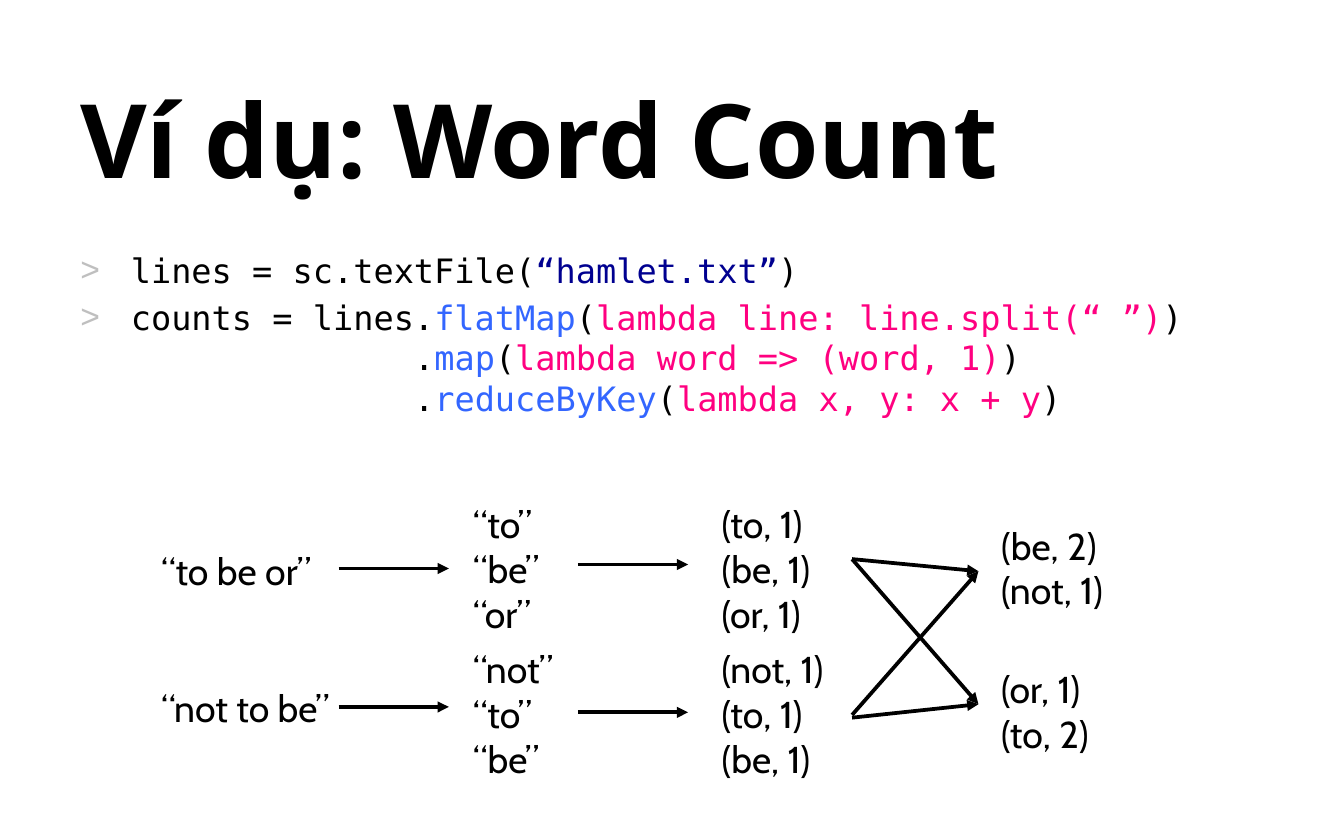
from dataclasses import dataclass

from lxml import etree
from pptx import Presentation
from pptx.dml.color import RGBColor
from pptx.enum.shapes import MSO_CONNECTOR
from pptx.enum.text import MSO_ANCHOR, MSO_AUTO_SIZE
from pptx.oxml.ns import qn
from pptx.util import Inches, Pt

STRAIGHT = MSO_CONNECTOR.STRAIGHT
MIDDLE = MSO_ANCHOR.MIDDLE
GROW = MSO_AUTO_SIZE.SHAPE_TO_FIT_TEXT


@dataclass(frozen=True)
class Theme:
    ink: str = "000000"
    string: str = "000090"
    method: str = "3366FF"
    function: str = "FF0080"
    prompt: str = "BFBFBF"
    title_font: str = "Open Sans"
    code_font: str = "DejaVu Sans Mono"
    data_font: str = "Cabin"
    title_size: int = 55
    code_size: int = 18
    data_size: int = 20
    arrow_width: int = 2


theme = Theme()
prs = Presentation()
prs.slide_width, prs.slide_height = Inches(10), Inches(6.25)
slide = prs.slides.add_slide(prs.slide_layouts[6])

# The slide is a grid of 100 columns by 100 rows.
COL = prs.slide_width / 100
ROW = prs.slide_height / 100


def add_box(left, top, width, height):
    """Add an empty text box placed in grid units and return its text frame."""
    box = slide.shapes.add_textbox(
        round(left * COL), round(top * ROW), round(width * COL), round(height * ROW))
    box.text_frame.word_wrap = True
    return box.text_frame


def add_run(paragraph, text, font, size, color=theme.ink, bold=False):
    run = paragraph.add_run()
    run.text = text
    run.font.name, run.font.size, run.font.bold = font, Pt(size), bold
    run.font.color.rgb = RGBColor.from_string(color)


# Title
heading = add_box(5, 8, 90, 16.64)
heading.vertical_anchor = MIDDLE
add_run(heading.paragraphs[0], "Ví dụ: Word Count",
        theme.title_font, theme.title_size, bold=True)

# Code: a prompt starts each statement, chained calls are indented below it
ink, method, function = theme.ink, theme.method, theme.function
PROMPT_INDENT, CHAIN_INDENT = 3.75, 24.83
code_lines = [
    (True, 0, [("lines = sc.textFile(", ink), ("“hamlet.txt”", theme.string), (")", ink)]),
    (True, 3.6, [("counts = lines.", ink), ("flatMap", method), ("(", ink),
                 ("lambda line: line.split(“ ”)", function), (")", ink)]),
    (False, 0, [(".", ink), ("map", method), ("(", ink),
                ("lambda word => (word, 1)", function), (")", ink)]),
    (False, 0, [(".", ink), ("reduceByKey", method), ("(", ink),
                ("lambda x, y: x + y", function), (")", ink)]),
]
code = add_box(5, 28.96, 90, 37.76)
for number, (has_prompt, space_before, tokens) in enumerate(code_lines):
    line = code.add_paragraph() if number else code.paragraphs[0]
    line.space_before = Pt(space_before)
    props = line._p.get_or_add_pPr()
    props.set("marL", str(round((PROMPT_INDENT if has_prompt else CHAIN_INDENT) * COL)))
    if has_prompt:
        props.set("indent", str(-round(PROMPT_INDENT * COL)))
        bullet_color = etree.SubElement(props, qn("a:buClr"))
        etree.SubElement(bullet_color, qn("a:srgbClr"), val=theme.prompt)
        etree.SubElement(props, qn("a:buFont"), typeface="Arial")
        etree.SubElement(props, qn("a:buChar"), char=">")
    else:
        props.set("indent", "0")
        etree.SubElement(props, qn("a:buNone"))
    for text, color in tokens:
        add_run(line, text, theme.code_font, theme.code_size, color)

# Data at each stage: left, top, width, records
FIRST_LINE, NEXT_LINE = 7.04, 5.36
stages = [
    (11, 64.48, 13.4, ["“to be or”"]),
    (11, 80.8, 14.7, ["“not to be”"]),
    (34.2, 58.88, 7.2, ["“to”", "“be”", "“or”"]),
    (34.2, 76.16, 8.2, ["“not”", "“to”", "“be”"]),
    (52.7, 58.88, 9.2, ["(to, 1)", "(be, 1)", "(or, 1)"]),
    (52.7, 76.16, 10.2, ["(not, 1)", "(to, 1)", "(be, 1)"]),
    (73.5, 61.44, 10.2, ["(be, 2)", "(not, 1)"]),
    (73.5, 78.56, 8.9, ["(or, 1)", "(to, 2)"]),
]
for left, top, width, records in stages:
    stage = add_box(left, top, width, FIRST_LINE + NEXT_LINE * (len(records) - 1))
    stage.word_wrap = False
    stage.auto_size = GROW
    for number, record in enumerate(records):
        if number:
            stage.paragraphs[0].add_line_break()
        add_run(stage.paragraphs[0], record, theme.data_font, theme.data_size)

# Arrows: start column, end column, then (start row, end row) of each
flows = [
    (25.2, 33.4, [(67.68, 67.68), (84.16, 84.16)]),
    (43, 51.2, [(67.2, 67.2), (84.8, 84.8)]),
    (63.4, 72.8, [(66.56, 83.84), (66.56, 68), (85.12, 68), (85.44, 83.84)]),
]
for start, end, rows in flows:
    for start_row, end_row in rows:
        arrow = slide.shapes.add_connector(
            STRAIGHT, round(start * COL), round(start_row * ROW),
            round(end * COL), round(end_row * ROW))
        arrow.line.color.rgb = RGBColor.from_string(theme.ink)
        arrow.line.width = Pt(theme.arrow_width)
        etree.SubElement(arrow.line._get_or_add_ln(), qn("a:tailEnd"), type="triangle")
        etree.SubElement(arrow._element.spPr, qn("a:effectLst"))

prs.save("out.pptx")
